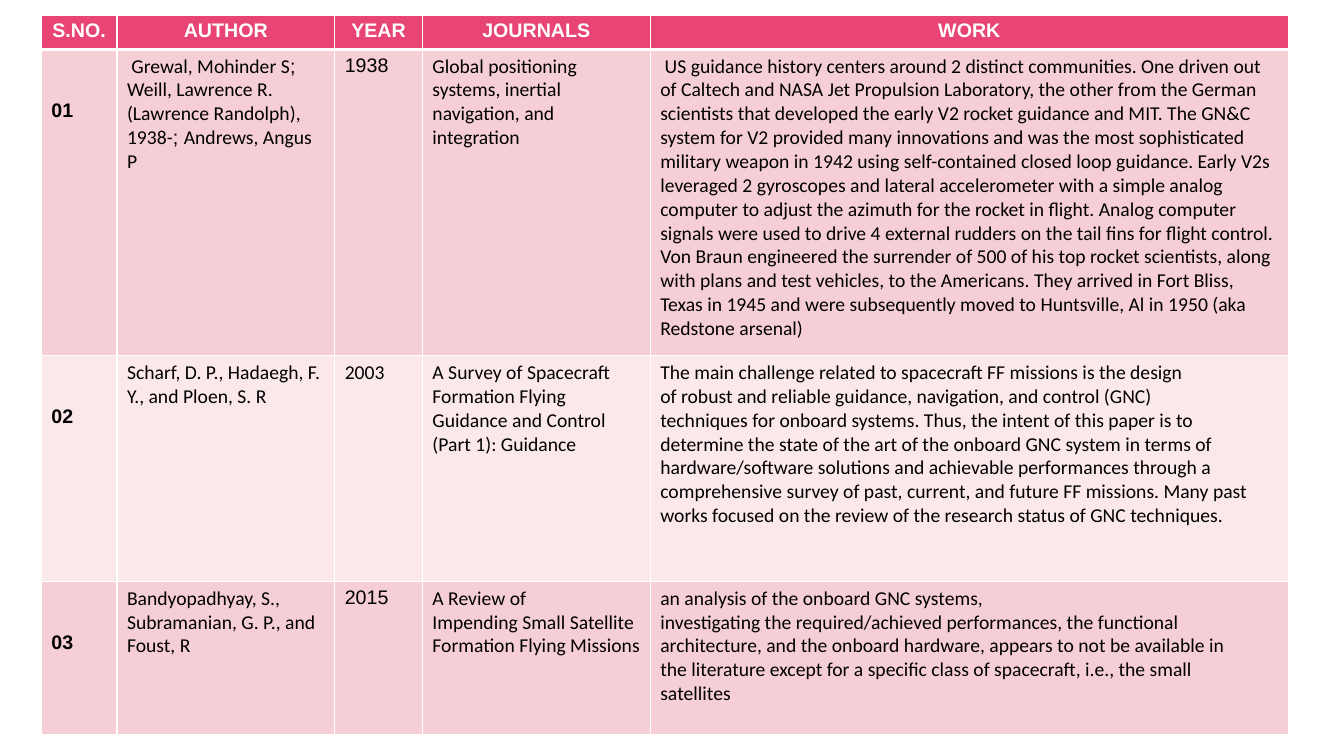
import pptx
import pptx.dml.color
import pptx.enum.text
import pptx.util
from lxml import etree

Inches = pptx.util.Inches
Pt = pptx.util.Pt
ALIGN = pptx.enum.text.PP_ALIGN
NS = "http://schemas.openxmlformats.org/drawingml/2006/main"

COLORS = {
    "head": "E84574",
    "odd": "F6CED5",
    "even": "FBE8EB",
    "white": "FFFFFF",
    "ink": "000000",
}
FONTS = ("Calibri", "Arial")
WIDTHS = (0.75, 2.16, 0.87, 2.26, 6.33)
HEIGHTS = (0.34, 3.04, 2.24, 1.52)
HEADS = ("S.NO.", "AUTHOR", "YEAR", "JOURNALS", "WORK")

HISTORY = (
    " US guidance history centers around 2 distinct communities. One driven out "
    "of Caltech and NASA Jet Propulsion Laboratory, the other from the German "
    "scientists that developed the early V2 rocket guidance and MIT. The GN&C "
    "system for V2 provided many innovations and was the most sophisticated "
    "military weapon in 1942 using self-contained closed loop guidance.",
    "Early V2s leveraged 2 gyroscopes and lateral accelerometer with a simple analog "
    "computer to adjust the azimuth for the rocket in flight. Analog computer "
    "signals were used to drive 4 external rudders on the tail fins for flight control.",
    "Von Braun engineered the surrender of 500 of his top rocket scientists, along "
    "with plans and test vehicles, to the Americans. They arrived in Fort Bliss, "
    "Texas in 1945 and were subsequently moved to Huntsville, Al in 1950 "
    "(aka Redstone arsenal)",
)
PAPERS = (
    (
        "|01",
        " Grewal, Mohinder S|; |Weill, Lawrence R. (Lawrence Randolph), 1938-|; |Andrews, Angus P",
        "|1938",
        "Global positioning systems, inertial navigation, and integration",
        " ".join(HISTORY),
    ),
    (
        "|02",
        "Scharf, D. P., Hadaegh, F. Y., and Ploen, S. R",
        "2003",
        "A Survey of Spacecraft\nFormation Flying Guidance and Control (Part 1): Guidance",
        "The main challenge related to spacecraft FF missions is the design\n"
        "of robust and reliable guidance, navigation, and control (GNC)\n"
        "techniques for onboard systems. Thus, the intent of this paper is to\n"
        "determine the state of the art of the onboard GNC system in terms of "
        "hardware/software solutions and achievable performances through a "
        "comprehensive survey of past, current, and future FF missions. Many past "
        "works focused on the review of the research status of GNC techniques.",
    ),
    (
        "|03",
        "Bandyopadhyay, S., Subramanian, G. P., and Foust, R",
        "|2015",
        "A Review of\nImpending Small Satellite Formation Flying Missions",
        "an analysis of the onboard GNC systems,\n"
        "investigating the required/achieved performances, the functional\n"
        "architecture, and the onboard hardware, appears to not be available in\n"
        "the literature except for a specific class of spacecraft, i.e., the small\n"
        "satellites",
    ),
)


def style(item, look):
    """Set each attribute named in a dict of format values."""
    for name, value in look.items():
        setattr(item, name, value)


def rgb(name):
    """Give the named colour."""
    return pptx.dml.color.RGBColor.from_string(COLORS[name])


def edge(cell, side, width):
    """Draw one white border of a cell."""
    line = etree.SubElement(cell._tc.get_or_add_tcPr(), f"{{{NS}}}ln{side}", w=str(Pt(width)))
    fill = etree.SubElement(line, f"{{{NS}}}solidFill")
    etree.SubElement(fill, f"{{{NS}}}srgbClr", val=COLORS["white"])


def write(cell, text, ink, bold, align):
    """Write lines as paragraphs, switching between the two fonts at each bar."""
    frame = cell.text_frame
    for row, words in enumerate(text.split("\n")):
        para = frame.add_paragraph() if row else frame.paragraphs[0]
        para.alignment = align
        for turn, part in enumerate(words.split("|")):
            if part:
                run = para.add_run()
                run.text = part
                style(run.font, {"name": FONTS[turn % 2], "size": Pt(14), "bold": bold})
                run.font.color.rgb = rgb(ink)


def paint(cell, row, col, text):
    """Format and fill one cell by its place in the grid."""
    head = row == 0
    count = col == 0 and not head
    for side in "LRTB":
        thick = (row, side) in ((0, "B"), (1, "T"))
        edge(cell, side, 3 if thick else 1)
    cell.fill.solid()
    cell.fill.fore_color.rgb = rgb("head" if head else "odd" if row % 2 else "even")
    style(cell, {
        "margin_left": Inches(0.1),
        "margin_right": Inches(0.1),
        "margin_top": Inches(0.5 if count else 0.05),
        "margin_bottom": Inches(0.05),
    })
    write(cell, text, "white" if head else "ink", head or count,
          ALIGN.CENTER if head else ALIGN.LEFT)


def survey(slide, left, top):
    """Place the table of papers with its corner at the given point."""
    rows = [["|" + name for name in HEADS], *PAPERS]
    table = slide.shapes.add_table(
        len(rows), len(HEADS), Inches(left), Inches(top),
        Inches(sum(WIDTHS)), Inches(sum(HEIGHTS))).table
    style(table, {"first_row": False, "horz_banding": False})
    for col, width in zip(table.columns, WIDTHS):
        col.width = Inches(width)
    for row, texts in enumerate(rows):
        table.rows[row].height = Inches(HEIGHTS[row])
        for col, text in enumerate(texts):
            paint(table.cell(row, col), row, col, text)


def main():
    """Build and save the slide."""
    deck = pptx.Presentation()
    style(deck, {"slide_width": Inches(13.33), "slide_height": Inches(7.5)})
    slide = deck.slides.add_slide(deck.slide_layouts[6])
    survey(slide, 0.41, 0.15)
    deck.save("out.pptx")


if __name__ == "__main__":
    main()
